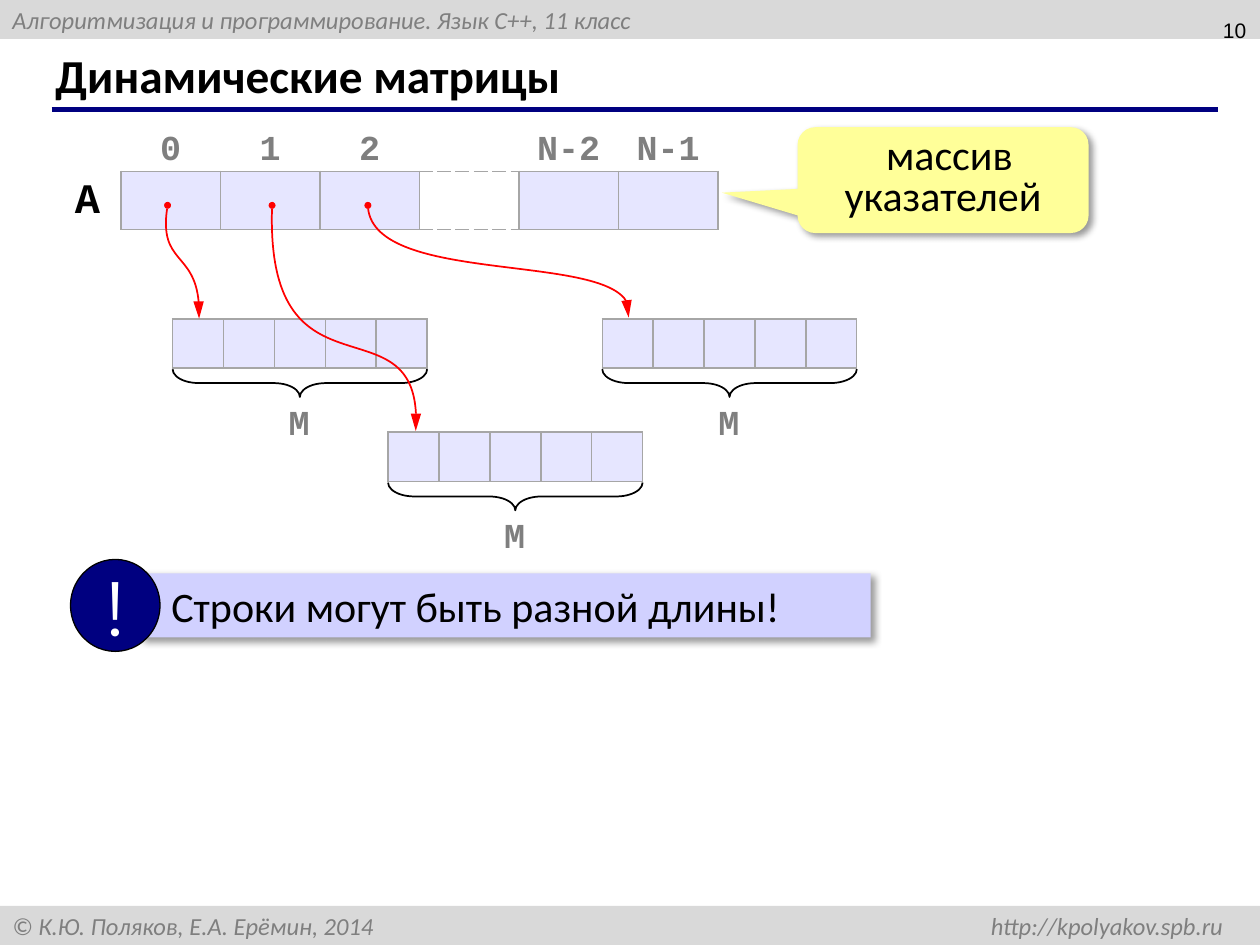
from dataclasses import dataclass

from lxml import etree
from pptx import Presentation
from pptx.dml.color import RGBColor
from pptx.enum.shapes import MSO_CONNECTOR, MSO_SHAPE
from pptx.enum.text import MSO_ANCHOR, MSO_AUTO_SIZE, PP_ALIGN
from pptx.oxml.ns import qn
from pptx.util import Inches, Pt

LEFT, CENTER, RIGHT = PP_ALIGN.LEFT, PP_ALIGN.CENTER, PP_ALIGN.RIGHT
TOP, MIDDLE, BOTTOM = MSO_ANCHOR.TOP, MSO_ANCHOR.MIDDLE, MSO_ANCHOR.BOTTOM
RECT, OVAL, BRACE = MSO_SHAPE.RECTANGLE, MSO_SHAPE.OVAL, MSO_SHAPE.LEFT_BRACE
CALLOUT = MSO_SHAPE.ROUNDED_RECTANGULAR_CALLOUT
STRAIGHT = MSO_CONNECTOR.STRAIGHT
NO_AUTOFIT = MSO_AUTO_SIZE.NONE
NO_STYLE = "{2D5ABB26-0587-4C30-8999-92F81FD0307C}"
SOLID, DASH = "solid", "sysDash"


@dataclass(frozen=True)
class Theme:
    black: str = "000000"
    white: str = "FFFFFF"
    navy: str = "000080"
    red: str = "FF0000"
    gray: str = "7F7F7F"
    border: str = "A6A6A6"
    bar: str = "D9D9D9"
    cell: str = "E6E6FF"
    note: str = "D1D1FF"
    yellow: str = "FFFF99"
    body: str = "Calibri"
    code: str = "Courier New"
    number: str = "Arial"
    mark: str = "Montserrat"
    title_size: float = 27
    text_size: float = 24
    label_size: float = 20
    bar_size: float = 14
    number_size: float = 12
    mark_size: float = 44


def sub(parent, tag, **attrs):
    return etree.SubElement(parent, qn(tag), {k: str(v) for k, v in attrs.items()})


class SlideBuilder:
    def __init__(self, slide, theme):
        self.s, self.t = slide, theme

    def put_text(self, tf, text, size, color, font=None, align=LEFT, anchor=MIDDLE,
                 bold=False, italic=False, wrap=True):
        tf.word_wrap, tf.vertical_anchor = wrap, anchor
        p = tf.paragraphs[0]
        p.alignment = align
        r = p.add_run()
        r.text = text
        f = r.font
        f.name, f.size, f.bold, f.italic = font or self.t.body, Pt(size), bold, italic
        f.color.rgb = RGBColor.from_string(color)
        return p

    def title(self, text, x, y, w, h):
        sp = self.s.shapes.title
        sp.left, sp.top, sp.width, sp.height = map(Inches, (x, y, w, h))
        sp.text_frame.auto_size = NO_AUTOFIT
        self.put_text(sp.text_frame, text, self.t.title_size, self.t.black, bold=True)

    def text(self, text, x, y, w, h, size, color, **style):
        sp = self.s.shapes.add_textbox(*map(Inches, (x, y, w, h)))
        return self.put_text(sp.text_frame, text, size, color, **style)

    def shape(self, kind, x, y, w, h, fill=None, line=None, width=1, shadow=False):
        sp = self.s.shapes.add_shape(kind, *map(Inches, (x, y, w, h)))
        self.paint(sp, fill, line, width)
        if shadow:
            effects = sp._element.spPr.find(qn("a:effectLst"))
            outer = sub(effects, "a:outerShdw", blurRad=Pt(4), dist=Pt(3),
                        dir=45 * 60000, algn="tl", rotWithShape=0)
            sub(sub(outer, "a:srgbClr", val=self.t.black), "a:alpha", val=40000)
        return sp

    def paint(self, sp, fill, line, width):
        sp.shadow.inherit = False
        if fill:
            sp.fill.solid()
            sp.fill.fore_color.rgb = RGBColor.from_string(fill)
        else:
            sp.fill.background()
        if line:
            sp.line.color.rgb = RGBColor.from_string(line)
            sp.line.width = Pt(width)
        else:
            sp.line.fill.background()

    def bar(self, text, y):
        sp = self.shape(RECT, 0, y, 10, 0.31, self.t.bar)
        return self.put_text(sp.text_frame, text, self.t.bar_size, self.t.gray, italic=True)

    def rule(self, x1, x2, y):
        ln = self.s.shapes.add_connector(STRAIGHT, *map(Inches, (x1, y, x2, y)))
        ln.line.color.rgb = RGBColor.from_string(self.t.navy)
        ln.line.width = Pt(3)
        sub(ln._element.spPr, "a:effectLst")

    def table(self, x, y, widths, heights):
        frame = self.s.shapes.add_table(len(heights), len(widths), *map(
            Inches, (x, y, sum(widths), sum(heights))))
        tbl = frame.table
        tbl.first_row = tbl.horz_banding = False
        tbl._tbl.tblPr.find(qn("a:tableStyleId")).text = NO_STYLE
        for col, w in zip(tbl.columns, widths):
            col.width = Inches(w)
        for row, h in zip(tbl.rows, heights):
            row.height = Inches(h)
        return tbl

    def cell(self, cell, fill=None, **borders):
        """Borders are given by side: L, R, T, B."""
        cell.margin_top = cell.margin_bottom = 0
        cell.margin_left = cell.margin_right = Inches(0.08)
        tc_pr = cell._tc.get_or_add_tcPr()
        for side in "LRTB":
            if side in borders:
                ln = sub(tc_pr, f"a:ln{side}", w=Pt(1))
                sub(sub(ln, "a:solidFill"), "a:srgbClr", val=self.t.border)
                sub(ln, "a:prstDash", val=borders[side])
        if fill:
            cell.fill.solid()
            cell.fill.fore_color.rgb = RGBColor.from_string(fill)
        else:
            cell.fill.background()

    def matrix_row(self, x, y, count=5, w=2.02, h=0.39):
        """A row of cells with a brace and its length below."""
        tbl = self.table(x, y, [w / count] * count, [h])
        for cell in tbl.iter_cells():
            self.cell(cell, self.t.cell, **dict.fromkeys("LRTB", SOLID))
        mid = x + w / 2
        brace = self.shape(BRACE, mid - 0.11, y + 0.51 - w / 2, 0.22, w, line=self.t.black)
        brace.rotation = 270
        brace.adjustments[0] = 0.945
        self.text("M", mid - 0.19, y + 0.6, 0.37, 0.44, self.t.label_size, self.t.gray,
                  font=self.t.code, align=CENTER, anchor=TOP, bold=True, wrap=False)

    def curve(self, *points):
        """A cubic curve through start, two controls and end, with an arrowhead."""
        start, *rest = [tuple(map(Inches, pt)) for pt in points]
        builder = self.s.shapes.build_freeform(*start)
        builder.add_line_segments(rest, close=False)
        sp = builder.convert_to_shape()
        self.paint(sp, None, self.t.red, 1)
        outline = next(sp._element.iter(qn("a:path")))
        cubic = sub(outline, "a:cubicBezTo")
        for segment in outline.findall(qn("a:lnTo")):
            cubic.append(segment[0])
            outline.remove(segment)
        ln = sp._element.spPr.find(qn("a:ln"))
        sub(ln, "a:headEnd", type="oval", w="sm", len="sm")
        sub(ln, "a:tailEnd", type="triangle", w="med", len="lg")


def main():
    prs = Presentation()
    prs.slide_width, prs.slide_height = Inches(10), Inches(7.5)
    t = Theme()
    b = SlideBuilder(prs.slides.add_slide(prs.slide_layouts[5]), t)

    # Header, footer, title and page number
    b.bar("Алгоритмизация и программирование. Язык C++, 11 класс", 0)
    p = b.bar("© К.Ю. Поляков, Е.А. Ерёмин, 2014 \thttp://kpolyakov.spb.ru", 7.19)
    sub(sub(p._p.get_or_add_pPr(), "a:tabLst"), "a:tab", pos=Inches(9.61), algn="r")
    b.rule(0.41, 9.67, 0.87)
    b.title("Динамические матрицы", 0.34, 0.33, 9.16, 0.52)
    b.text("10", 7.66, -0.02, 2.33, 0.52, t.number_size, t.black, font=t.number, align=RIGHT)

    # Array of pointers: the gap column is dashed
    tbl = b.table(0.43, 0.9, [0.53] + [0.79] * 6, [0.46, 0.46])
    for i, label in enumerate(["", "0", "1", "2", "", "N-2", "N-1"]):
        head, item = tbl.cell(0, i), tbl.cell(1, i)
        edge = SOLID if label else DASH
        if i == 0:
            b.cell(head)
            b.cell(item, R=SOLID)
        else:
            b.cell(head, B=edge)
            b.cell(item, t.cell if label else None, L=SOLID, R=SOLID, T=edge, B=edge)
        if label:
            b.put_text(head.text_frame, label, t.label_size, t.gray, t.code, CENTER, bold=True)
            head.vertical_anchor = BOTTOM
    name = tbl.cell(1, 0)
    p = b.put_text(name.text_frame, "A", t.text_size, t.black, t.code, CENTER, bold=True)
    p.line_spacing = 1.15
    name.vertical_anchor = TOP

    # Callout
    sp = b.shape(CALLOUT, 6.33, 1.01, 2.31, 0.84, t.yellow, shadow=True)
    for i, value in enumerate((-0.76, 0.119, 0.167)):
        sp.adjustments[i] = value
    p = b.put_text(sp.text_frame, "массив указателей", t.text_size, t.black,
                   align=CENTER, anchor=TOP)
    p.line_spacing = 0.8
    p._p.get_or_add_pPr().set("indent", str(Inches(0.1)))

    # Matrix rows and the pointers to them
    for x, y in ((1.37, 2.53), (3.08, 3.43), (4.78, 2.53)):
        b.matrix_row(x, y)
    b.curve((1.33, 1.63), (1.25, 2.1), (1.6, 1.98), (1.58, 2.53))
    b.curve((2.16, 1.63), (2.1, 3.22), (3.37, 2.32), (3.3, 3.42))
    b.curve((2.92, 1.63), (2.93, 2.26), (5.12, 1.97), (4.99, 2.52))

    # Remark with exclamation badge
    sp = b.shape(RECT, 1.11, 4.55, 5.8, 0.51, t.note, shadow=True)
    sp.text_frame.margin_left = Inches(0.25)
    b.put_text(sp.text_frame, "Строки могут быть разной длины!", t.text_size, t.black)
    sp = b.shape(OVAL, 0.56, 4.44, 0.71, 0.73, t.navy, t.black, 0.75)
    b.put_text(sp.text_frame, "!", t.mark_size, t.white, t.mark, CENTER, wrap=False)

    prs.save("out.pptx")


if __name__ == "__main__":
    main()
